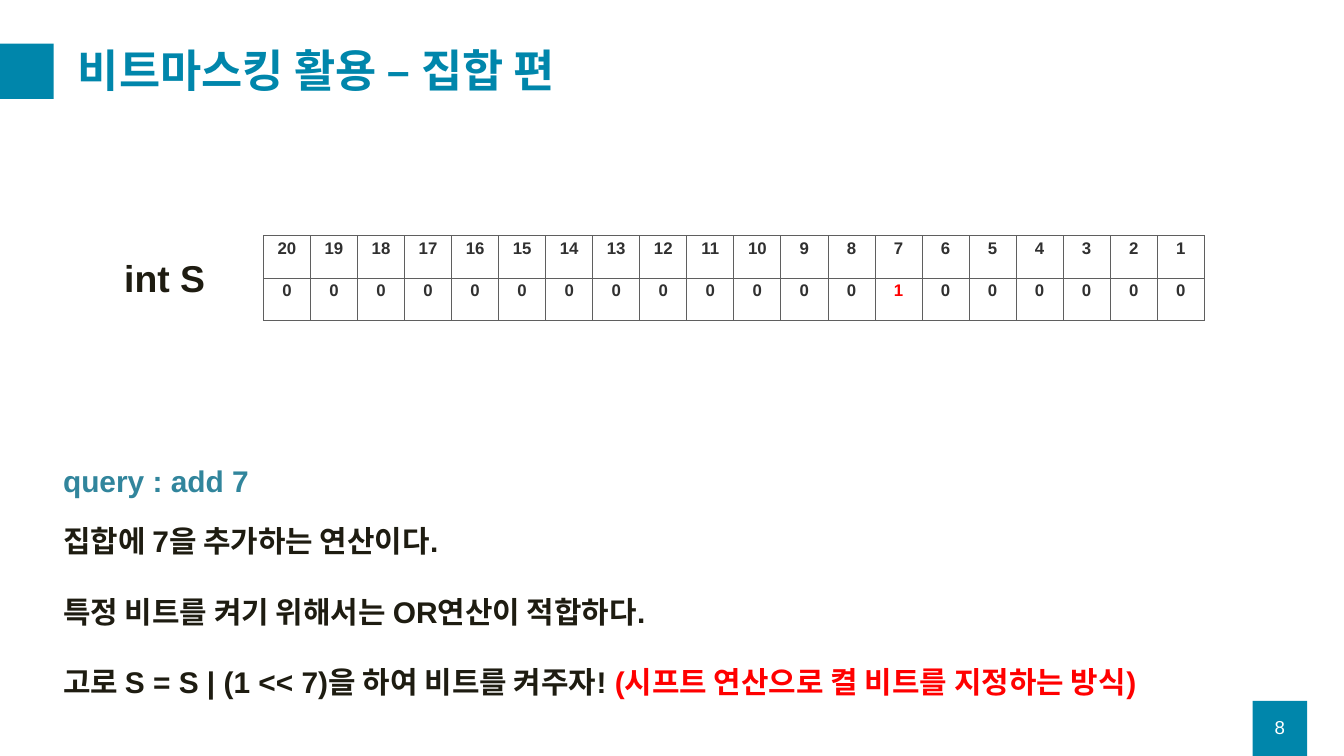
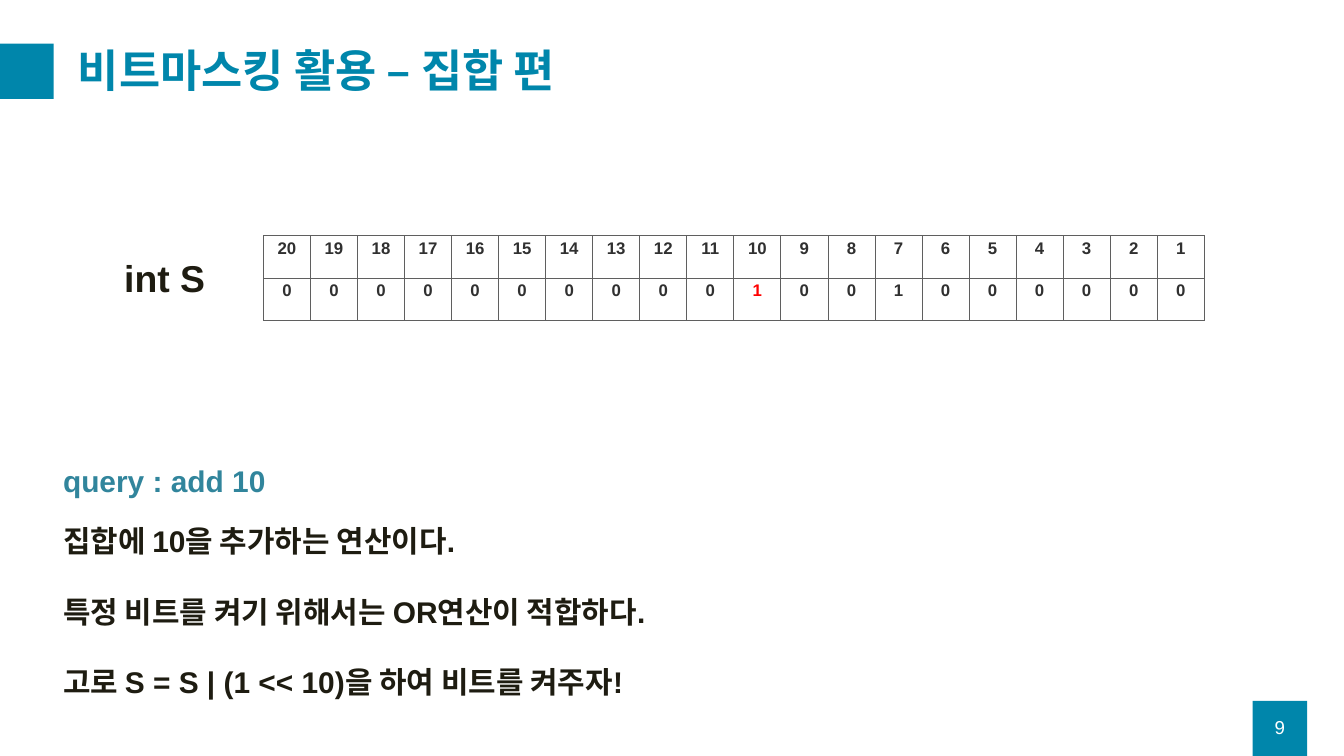
from lxml.etree import SubElement
from pptx import Presentation
from pptx.dml.color import RGBColor
from pptx.enum.shapes import MSO_SHAPE
from pptx.enum.text import MSO_ANCHOR, MSO_AUTO_SIZE, PP_ALIGN
from pptx.oxml.ns import qn
from pptx.util import Inches, Pt

FONT = "Arial"
COLORS = {
    "accent": "0086AB",
    "query": "31859C",
    "body": "1E1C11",
    "cell": "303030",
    "border": "5F5F5F",
    "highlight": "FF0000",
    "white": "FFFFFF",
}
TITLE = "비트마스킹 활용 – 집합 편"
SET_LABEL = "int S"
BIT_COUNT = 20
CELL_WIDTH, CELL_HEIGHT = 0.7, 0.63
BAND_SIZE = (0.81, 0.82)

# "added" is the bit just switched on; "members" are all bits that are on.
QUERIES = [
    {"page": 8, "added": 7, "members": {7},
     "remark": " (시프트 연산으로 켤 비트를 지정하는 방식)"},
    {"page": 9, "added": 10, "members": {7, 10}, "remark": ""},
]


def explanation(query):
    """Paragraphs of (text, colour) runs that explain one add query."""
    bit = query["added"]
    steps = [
        [(f"집합에 {bit}을 추가하는 연산이다.", "body")],
        [("특정 비트를 켜기 위해서는 OR연산이 적합하다.", "body")],
        [(f"고로 S = S | (1 << {bit})을 하여 비트를 켜주자!", "body")],
    ]
    if query["remark"]:
        steps[-1].append((query["remark"], "highlight"))
    return steps


def rgb(color):
    return RGBColor.from_string(COLORS[color])


def add_run(paragraph, text, size, color, bold=True):
    run = paragraph.add_run()
    run.text = text
    run.font.name = FONT
    run.font.size = Pt(size)
    run.font.bold = bold
    run.font.color.rgb = rgb(color)


def add_band(slide, left, top):
    band = slide.shapes.add_shape(
        MSO_SHAPE.RECTANGLE, Inches(left), Inches(top), *map(Inches, BAND_SIZE))
    band.shadow.inherit = False
    band.fill.solid()
    band.fill.fore_color.rgb = rgb("accent")
    band.line.fill.background()


def add_text(slide, box, paragraphs, size, bold=True, gap=0):
    """Add a text box; gap is the space in points between paragraphs."""
    frame = slide.shapes.add_textbox(*map(Inches, box)).text_frame
    frame.word_wrap = True
    for index, runs in enumerate(paragraphs):
        paragraph = frame.add_paragraph() if index else frame.paragraphs[0]
        if index:
            paragraph.space_before = Pt(gap)
        for text, color in runs:
            add_run(paragraph, text, size, color, bold)
    return frame


def add_frame(slide, page):
    """Add what all slides share: bands, title and page number."""
    add_band(slide, -0.01, 0.65)
    add_band(slide, 18.64, 10.43)

    title = slide.shapes.title
    title.left, title.top, title.width, title.height = map(
        Inches, (1.06, 0.5, 18.25, 1.18))
    title.text_frame.auto_size = MSO_AUTO_SIZE.NONE
    title.text_frame.vertical_anchor = MSO_ANCHOR.MIDDLE
    heading = title.text_frame.paragraphs[0]
    heading.alignment = PP_ALIGN.LEFT
    heading.line_spacing = 0.9
    add_run(heading, TITLE, 48, "accent")

    number = add_text(slide, (18.64, 10.52, 0.81, 0.6),
                      [[(str(page), "white")]], 20, bold=False)
    number.vertical_anchor = MSO_ANCHOR.MIDDLE
    number.paragraphs[0].alignment = PP_ALIGN.CENTER


def add_borders(cell):
    properties = cell._tc.get_or_add_tcPr()
    for side in ("a:lnL", "a:lnR", "a:lnT", "a:lnB"):
        line = SubElement(properties, qn(side), w=str(Pt(1)))
        fill = SubElement(line, qn("a:solidFill"))
        SubElement(fill, qn("a:srgbClr"), val=COLORS["border"])


def fill_cell(cell, text, color):
    add_borders(cell)
    cell.fill.background()
    paragraph = cell.text_frame.paragraphs[0]
    paragraph.alignment = PP_ALIGN.CENTER
    add_run(paragraph, text, 18, color)


def add_bit_table(slide, added, members):
    bits = slide.shapes.add_table(
        2, BIT_COUNT, Inches(3.92), Inches(3.51),
        Inches(CELL_WIDTH * BIT_COUNT), Inches(CELL_HEIGHT * 2)).table
    bits.first_row = bits.horz_banding = False
    for row in bits.rows:
        row.height = Inches(CELL_HEIGHT)
    for index, column in enumerate(bits.columns):
        column.width = Inches(CELL_WIDTH)
        bit = BIT_COUNT - index
        fill_cell(bits.cell(0, index), str(bit), "cell")
        fill_cell(bits.cell(1, index), str(int(bit in members)),
                  "highlight" if bit == added else "cell")


def add_query_slide(deck, query):
    slide = deck.slides.add_slide(deck.slide_layouts[5])
    add_frame(slide, query["page"])
    add_text(slide, (1.75, 3.75, 1.71, 0.77), [[(SET_LABEL, "body")]], 40)
    add_bit_table(slide, query["added"], query["members"])
    add_text(slide, (0.84, 6.83, 5.8, 0.64),
             [[(f"query : add {query['added']}", "query")]], 32)
    add_text(slide, (0.84, 7.73, 17.32, 2.79), explanation(query), 32, gap=37)


def main():
    deck = Presentation()
    deck.slide_width, deck.slide_height = Inches(20), Inches(11.25)
    for query in QUERIES:
        add_query_slide(deck, query)
    deck.save("out.pptx")


if __name__ == "__main__":
    main()
